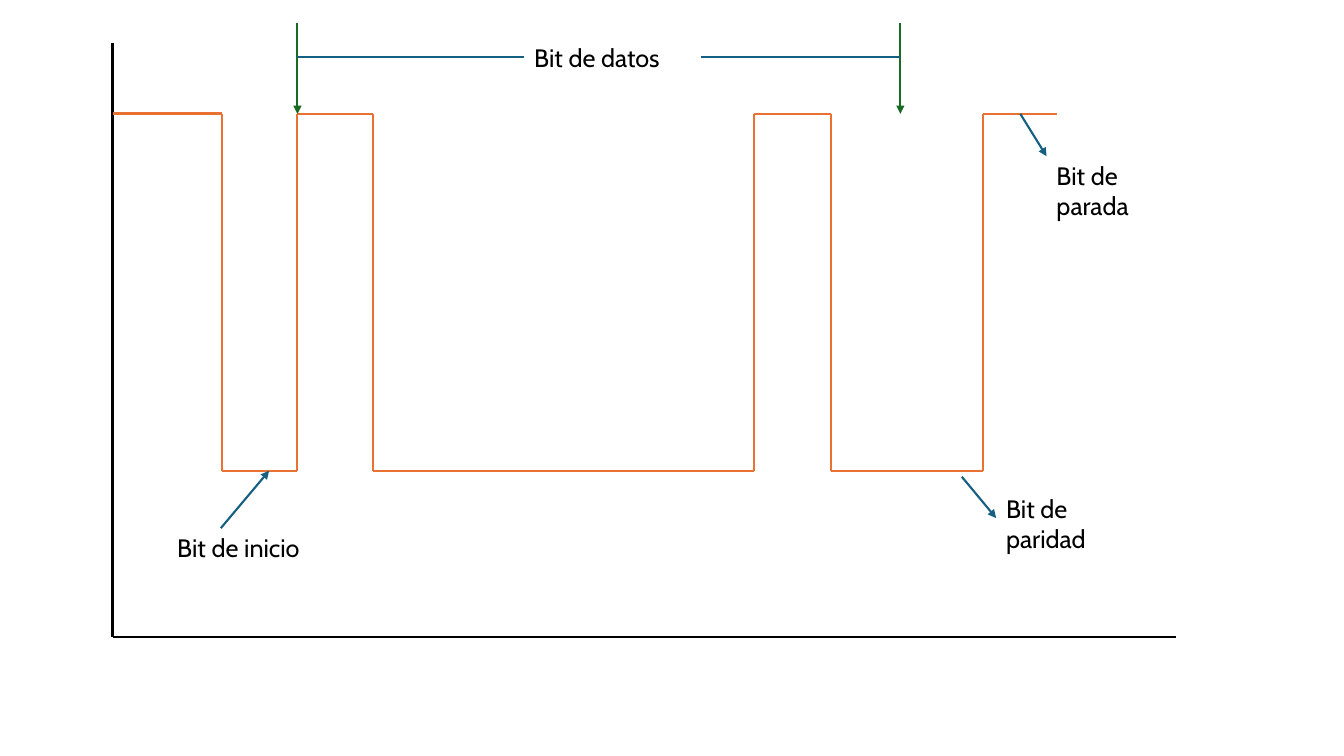
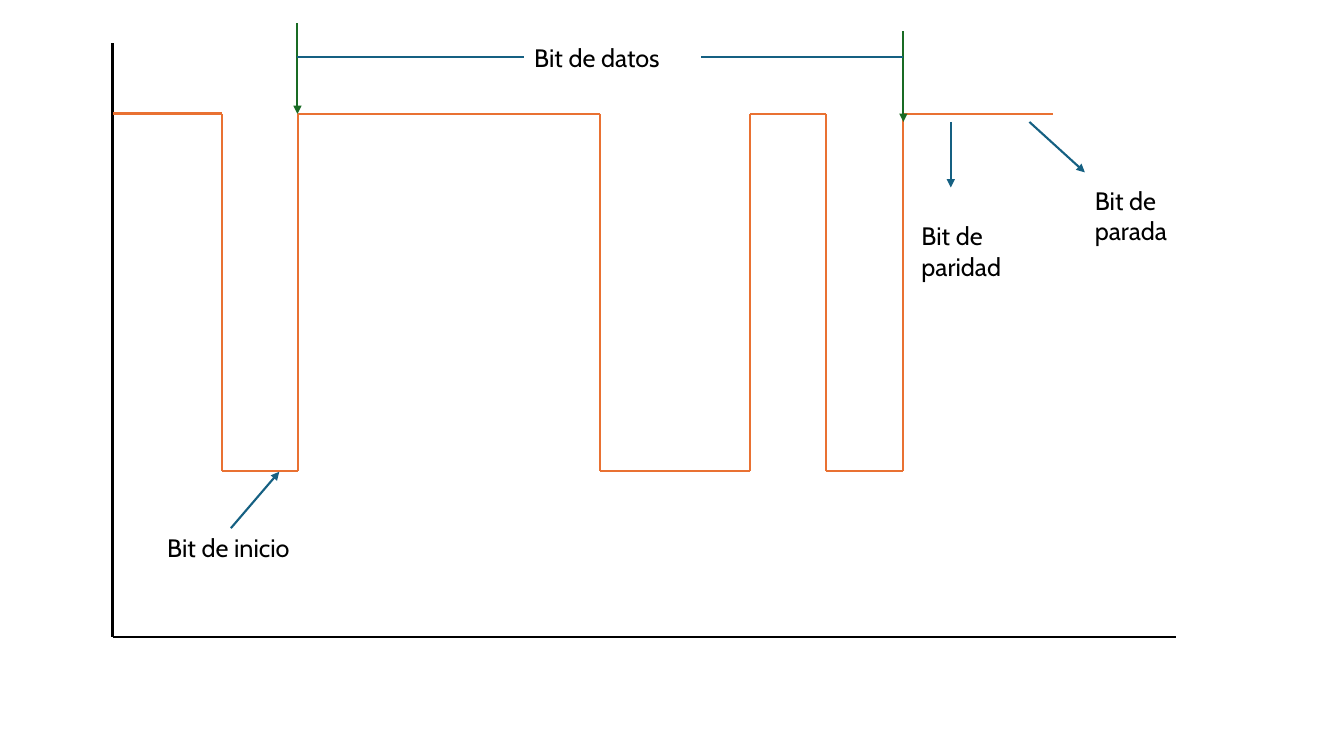
"""Build two timing diagrams of serial frames with start, data, parity and stop bits."""
from pptx import Presentation
from pptx.dml.color import RGBColor
from pptx.enum.shapes import MSO_CONNECTOR
from pptx.enum.text import MSO_AUTO_SIZE
from pptx.oxml.ns import qn
from pptx.util import Inches, Pt
from lxml import etree

STRAIGHT = MSO_CONNECTOR.STRAIGHT
GROW = MSO_AUTO_SIZE.SHAPE_TO_FIT_TEXT
BLACK = RGBColor(0x00, 0x00, 0x00)
ORANGE = RGBColor(0xE9, 0x71, 0x32)
BLUE = RGBColor(0x15, 0x60, 0x82)
GREEN = RGBColor(0x19, 0x6B, 0x24)
FONT = "Cabin"

AXIS_LEFT, AXIS_TOP, AXIS_RIGHT, AXIS_BOTTOM = 1.12, 0.43, 11.66, 6.32
LEVELS = {"1": 1.13, "0": 4.67}
DATA_START, DATA_Y = 2.95, 0.57
DATA_LABEL = ("Bit de datos", 5.2, 0.37, 1.75, 0.4)
MARKER_TOP, MARKER_HEIGHT = 0.23, 0.9

FRAMES = [
    {
        "bits": "101000001001",
        "edges": [1.12, 2.2, 2.95, 3.7, 4.44, 5.2, 5.95, 6.7, 7.48, 8.24, 9, 9.75, 10.48],
        "data_end": 8.93,
        "end_marker_top": MARKER_TOP,
        "pointers": [(2.19, 5.24, 2.67, 4.67), (9.54, 4.73, 9.88, 5.14), (10.12, 1.13, 10.38, 1.55)],
        "labels": [
            ("Bit de inicio", 1.66, 5.23, 1.47, 0.4),
            ("Bit de paridad", 9.88, 4.84, 1.09, 0.71),
            ("Bit de parada", 10.38, 1.54, 1.09, 0.71),
        ],
    },
    {
        "bits": "101111001011",
        "edges": [1.12, 2.2, 2.96, 3.7, 4.45, 5.2, 5.95, 6.7, 7.44, 8.19, 8.96, 9.7, 10.44],
        "data_end": 8.96,
        "end_marker_top": 0.31,
        "pointers": [(2.29, 5.24, 2.77, 4.68), (9.43, 1.21, 9.43, 1.86), (10.21, 1.21, 10.76, 1.71)],
        "labels": [
            ("Bit de inicio", 1.56, 5.23, 1.47, 0.4),
            ("Bit de paridad", 9.04, 2.14, 1.09, 0.71),
            ("Bit de parada", 10.76, 1.79, 1.09, 0.71),
        ],
    },
]


def add_line(slide, start_x, start_y, end_x, end_y, color, width=1.5, arrow=False):
    connector = slide.shapes.add_connector(
        STRAIGHT, Inches(start_x), Inches(start_y), Inches(end_x), Inches(end_y))
    connector.line.color.rgb = color
    connector.line.width = Pt(width)
    if arrow:
        etree.SubElement(connector.line._get_or_add_ln(), qn("a:tailEnd"), type="triangle")
    etree.SubElement(connector._element.spPr, qn("a:effectLst"))


def add_label(slide, text, left, top, width, height):
    label = slide.shapes.add_textbox(Inches(left), Inches(top), Inches(width), Inches(height))
    text_frame = label.text_frame
    text_frame.word_wrap = True
    text_frame.auto_size = GROW
    text_frame.text = text
    font = text_frame.paragraphs[0].runs[0].font
    font.name = FONT
    font.size = Pt(18)
    font.color.rgb = BLACK


presentation = Presentation()
presentation.slide_width = Inches(13.33)
presentation.slide_height = Inches(7.5)
blank_layout = presentation.slide_layouts[6]

for frame in FRAMES:
    slide = presentation.slides.add_slide(blank_layout)
    add_line(slide, AXIS_LEFT, AXIS_TOP, AXIS_LEFT, AXIS_BOTTOM, BLACK, 2)
    add_line(slide, AXIS_LEFT, AXIS_BOTTOM, AXIS_RIGHT, AXIS_BOTTOM, BLACK, 2)

    bits, edges = frame["bits"], frame["edges"]
    for index, bit in enumerate(bits):
        level = LEVELS[bit]
        if index and bit != bits[index - 1]:
            add_line(slide, edges[index], LEVELS["1"], edges[index], LEVELS["0"], ORANGE)
        add_line(slide, edges[index], level, edges[index + 1], level, ORANGE, 1.5 if index else 2)

    data_end = frame["data_end"]
    for x, top in ((DATA_START, MARKER_TOP), (data_end, frame["end_marker_top"])):
        add_line(slide, x, top, x, top + MARKER_HEIGHT, GREEN, arrow=True)
    label_left, label_width = DATA_LABEL[1], DATA_LABEL[3]
    add_line(slide, DATA_START, DATA_Y, label_left, DATA_Y, BLUE)
    add_line(slide, data_end, DATA_Y, label_left + label_width, DATA_Y, BLUE)

    for pointer in frame["pointers"]:
        add_line(slide, *pointer, BLUE, arrow=True)
    for label in [DATA_LABEL] + frame["labels"]:
        add_label(slide, *label)

presentation.save("out.pptx")
